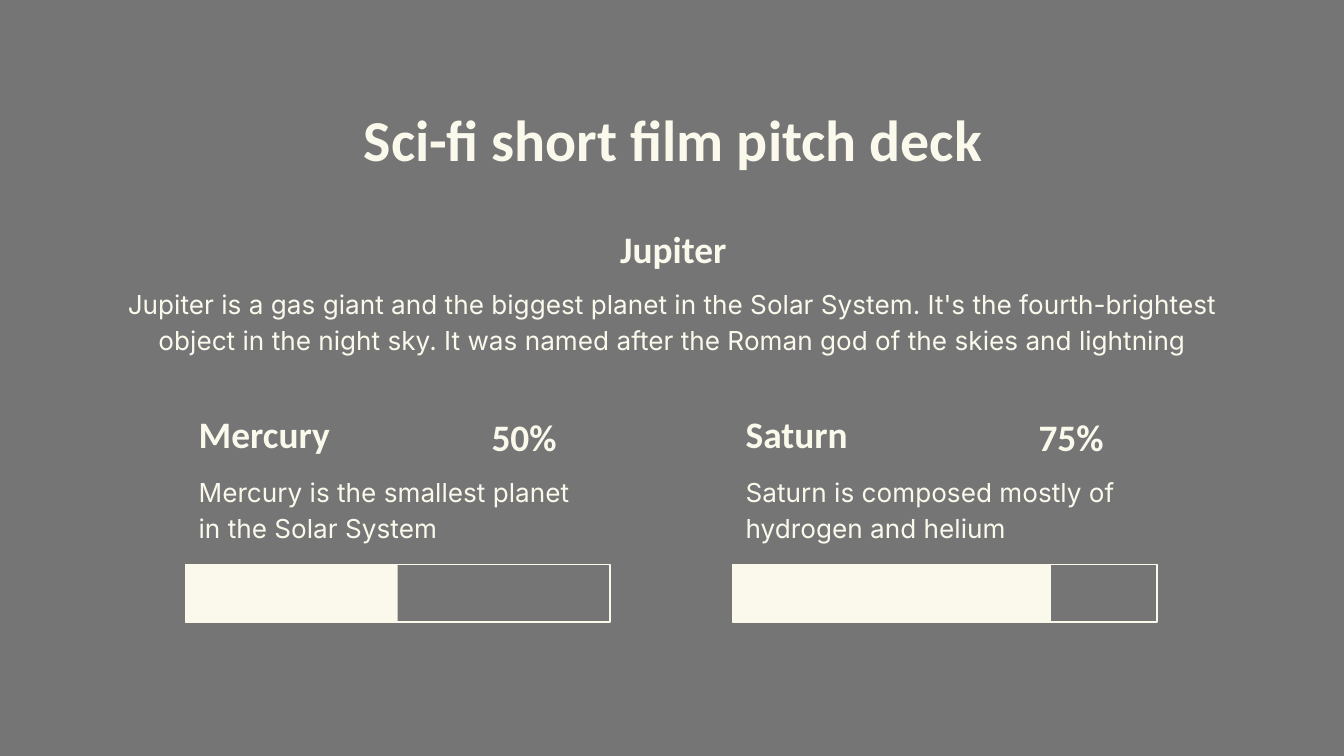
from dataclasses import dataclass

from pptx import Presentation
from pptx.dml.color import RGBColor
from pptx.enum.shapes import MSO_SHAPE
from pptx.enum.text import MSO_ANCHOR, MSO_AUTO_SIZE, PP_ALIGN
from pptx.util import Inches, Pt


@dataclass(frozen=True)
class Theme:
    """Colours, fonts and type sizes of the deck."""

    backdrop: RGBColor = RGBColor(0x75, 0x75, 0x75)
    cream: RGBColor = RGBColor(0xFA, 0xF9, 0xEC)
    heading_font: str = "Calibri"
    body_font: str = "Inter"
    title_size: int = 31
    heading_size: int = 20
    body_size: int = 14
    line_spacing: float = 1.15
    inset: float = 0.1
    outline: float = 0.75


def write_text(box, text, theme, *, size, font, bold=False,
               align=PP_ALIGN.LEFT, anchor=MSO_ANCHOR.TOP):
    """Fill a box with one formatted paragraph."""
    frame = box.text_frame
    frame.word_wrap = True
    frame.auto_size = MSO_AUTO_SIZE.NONE
    frame.vertical_anchor = anchor
    frame.margin_left = frame.margin_right = Inches(theme.inset)
    frame.margin_top = frame.margin_bottom = Inches(theme.inset)
    para = frame.paragraphs[0]
    para.alignment = align
    para.line_spacing = theme.line_spacing
    para.space_before = Pt(0)
    span = para.add_run()
    span.text = text
    span.font.name = font
    span.font.size = Pt(size)
    span.font.bold = bold
    span.font.color.rgb = theme.cream


class PageBuilder:
    """Draws the elements of a page in one style."""

    def __init__(self, page, theme):
        """Keep the page and theme and paint the background."""
        self.page = page
        self.theme = theme
        background = page.background.fill
        background.solid()
        background.fore_color.rgb = theme.backdrop

    def title(self, text, left, top, width, height):
        """Place and format the title placeholder."""
        box = self.page.shapes.title
        box.left, box.top = Inches(left), Inches(top)
        box.width, box.height = Inches(width), Inches(height)
        write_text(box, text, self.theme, size=self.theme.title_size,
                   font=self.theme.heading_font, bold=True, align=PP_ALIGN.CENTER)

    def group(self):
        """Return the shapes of a new group."""
        return self.page.shapes.add_group_shape().shapes

    def heading(self, shapes, text, area, align=PP_ALIGN.LEFT, anchor=MSO_ANCHOR.BOTTOM):
        """Add a bold heading."""
        box = shapes.add_textbox(*map(Inches, area))
        write_text(box, text, self.theme, size=self.theme.heading_size,
                   font=self.theme.heading_font, bold=True, align=align, anchor=anchor)

    def body(self, shapes, text, area, align=PP_ALIGN.LEFT):
        """Add a body text."""
        box = shapes.add_textbox(*map(Inches, area))
        write_text(box, text, self.theme, size=self.theme.body_size,
                   font=self.theme.body_font, align=align)

    def bar(self, shapes, area, filled):
        """Add a rectangle that is either filled or outlined."""
        box = shapes.add_shape(MSO_SHAPE.RECTANGLE, *map(Inches, area))
        box.shadow.inherit = False
        if filled:
            box.fill.solid()
            box.fill.fore_color.rgb = self.theme.cream
            box.line.fill.background()
        else:
            box.fill.background()
            box.line.color.rgb = self.theme.cream
            box.line.width = Pt(self.theme.outline)

    def progress(self, left, name, description, percent):
        """Add a planet with its description and progress bar."""
        shapes = self.group()
        width, bar_top, bar_height = 3.16, 4.2, 0.43
        self.body(shapes, description, (left, 3.41, width, 0.69))
        self.heading(shapes, name, (left, 2.96, width / 2, 0.53))
        self.bar(shapes, (left, bar_top, width, bar_height), filled=False)
        self.bar(shapes, (left, bar_top, width * percent / 100, bar_height), filled=True)
        self.heading(shapes, f"{percent}%", (left + 1.87, 2.96, 1.3, 0.53),
                     align=PP_ALIGN.CENTER, anchor=MSO_ANCHOR.MIDDLE)


def main():
    """Build and save the deck."""
    deck = Presentation()
    deck.slide_width = Inches(10)
    deck.slide_height = Inches(10 * 9 / 16)
    builder = PageBuilder(deck.slides.add_slide(deck.slide_layouts[5]), Theme())
    builder.title("Sci-fi short film pitch deck", 0.79, 0.59, 8.43, 0.69)

    jupiter = builder.group()
    builder.heading(jupiter, "Jupiter", (3.95, 1.59, 2.12, 0.53), align=PP_ALIGN.CENTER)
    builder.body(
        jupiter,
        "Jupiter is a gas giant and the biggest planet in the Solar System. "
        "It's the fourth-brightest object in the night sky. "
        "It was named after the Roman god of the skies and lightning",
        (0.79, 2.01, 8.43, 0.67), align=PP_ALIGN.CENTER)

    planets = [
        ("Mercury", "Mercury is the smallest planet in the Solar System", 50),
        ("Saturn", "Saturn is composed mostly of hydrogen and helium", 75),
    ]
    for column, planet in enumerate(planets):
        builder.progress(1.38 + column * 4.07, *planet)
    deck.save("out.pptx")


if __name__ == "__main__":
    main()
